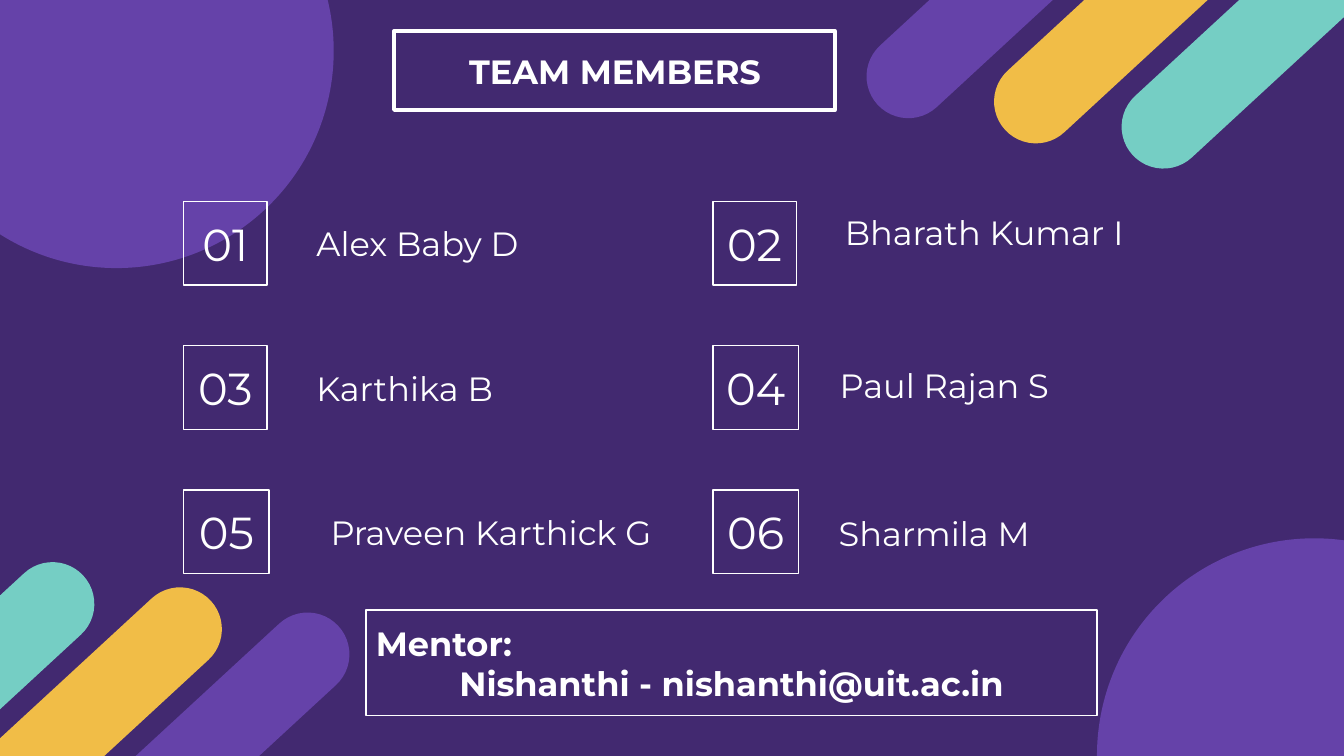
import pptx
import pptx.dml.color
import pptx.enum.shapes
import pptx.enum.text
import pptx.util
from pptx.util import Inches

SHAPE = pptx.enum.shapes.MSO_SHAPE
ALIGN = pptx.enum.text.PP_ALIGN
ANCHOR = pptx.enum.text.MSO_ANCHOR

FONT = "Montserrat"
WHITE = "FFFFFF"
BACKDROP = "422970"
PURPLE = "6542A9"
YELLOW = "F1BD47"
TEAL = "75CEC4"

NUMBER_COLUMNS = (1.82, 7.07)
FIRST_ROW, ROW_STEP = 2.0, 1.43
# name, width of its number box, left, top and width of its text
MEMBERS = [
    ("Alex Baby D", 0.83, 3.04, 2.16, 3.81),
    ("Bharath Kumar I", 0.83, 8.28, 2.05, 4.38),
    ("Karthika B", 0.83, 3.04, 3.6, 3.81),
    ("Paul Rajan S", 0.85, 8.23, 3.57, 4.38),
    ("Praveen Karthick G", 0.85, 3.18, 5.03, 3.67),
    ("Sharmila M", 0.85, 8.22, 5.04, 4.38),
]


def rgb(hex_color):
    """Turn a hex string into a colour."""
    return pptx.dml.color.RGBColor.from_string(hex_color)


def write(frame, text, size=24, bold=False, aligns=(ALIGN.LEFT,), anchor=ANCHOR.TOP):
    """Fill a text frame, one paragraph per line, each with its alignment."""
    frame.text = text
    frame.word_wrap = True
    frame.auto_size = pptx.enum.text.MSO_AUTO_SIZE.NONE
    frame.vertical_anchor = anchor
    for paragraph, align in zip(frame.paragraphs, aligns):
        paragraph.alignment = align
        font = paragraph.runs[0].font
        font.name, font.size, font.bold = FONT, pptx.util.Pt(size), bold
        font.color.rgb = rgb(WHITE)


def add_figure(slide, kind, left, top, width, height, fill=None, line_width=None):
    """Add a preset shape with an optional fill and white outline."""
    figure = slide.shapes.add_shape(
        kind, Inches(left), Inches(top), Inches(width), Inches(height))
    figure.shadow.inherit = False
    if fill:
        figure.fill.solid()
        figure.fill.fore_color.rgb = rgb(fill)
    else:
        figure.fill.background()
    if line_width:
        figure.line.color.rgb = rgb(WHITE)
        figure.line.width = pptx.util.Pt(line_width)
    else:
        figure.line.fill.background()
    return figure


def add_stripes(slide, left, top, colors):
    """Add a row of slanted rounded stripes, stepping right and down."""
    for step, color in enumerate(colors):
        stripe = add_figure(slide, SHAPE.ROUNDED_RECTANGLE, left + 1.265 * step,
                            top + 0.25 * step, 3.05, 0.83, fill=color)
        stripe.adjustments[0] = 0.5
        stripe.rotation = 317.3


def add_title(slide):
    """Place the title inside its heavy frame."""
    add_figure(slide, SHAPE.RECTANGLE, 3.91, 0.31, 4.37, 0.78, line_width=3)
    title = slide.shapes.title
    title.left, title.top = Inches(4.46), Inches(0.45)
    title.width, title.height = Inches(3.28), Inches(0.5)
    write(title.text_frame, "TEAM MEMBERS", bold=True, aligns=[ALIGN.CENTER])


def add_member(slide, index, name, box_width, left, top, width):
    """Add a member's number box and name."""
    row, column = divmod(index, 2)
    number_box = add_figure(slide, SHAPE.RECTANGLE, NUMBER_COLUMNS[column],
                            FIRST_ROW + ROW_STEP * row, box_width, 0.83, line_width=1)
    write(number_box.text_frame, f"{index + 1:02}", size=32,
          aligns=[ALIGN.CENTER], anchor=ANCHOR.MIDDLE)
    name_box = slide.shapes.add_textbox(
        Inches(left), Inches(top), Inches(width), Inches(0.5))
    write(name_box.text_frame, name)


def add_mentor(slide):
    """Add the framed mentor contact."""
    mentor_box = add_figure(slide, SHAPE.RECTANGLE, 3.63, 6.05, 7.25, 1.05, line_width=1)
    write(mentor_box.text_frame, "Mentor:\nNishanthi - nishanthi@uit.ac.in",
          bold=True, aligns=[ALIGN.LEFT, ALIGN.CENTER], anchor=ANCHOR.MIDDLE)


def main():
    """Build the team slide."""
    deck = pptx.Presentation()
    deck.slide_width, deck.slide_height = Inches(13.33), Inches(7.5)
    slide = deck.slides.add_slide(deck.slide_layouts[5])
    slide.background.fill.solid()
    slide.background.fill.fore_color.rgb = rgb(BACKDROP)

    for left, top in ((-1, -1.65), (10.88, 5.34)):
        add_figure(slide, SHAPE.OVAL, left, top, 4.31, 4.31, fill=PURPLE)
    add_stripes(slide, 8.3, -0.41, (PURPLE, YELLOW, TEAL))
    add_stripes(slide, -1.82, 6.33, (TEAL, YELLOW, PURPLE))
    add_title(slide)
    for index, member in enumerate(MEMBERS):
        add_member(slide, index, *member)
    add_mentor(slide)
    deck.save("out.pptx")


main()
